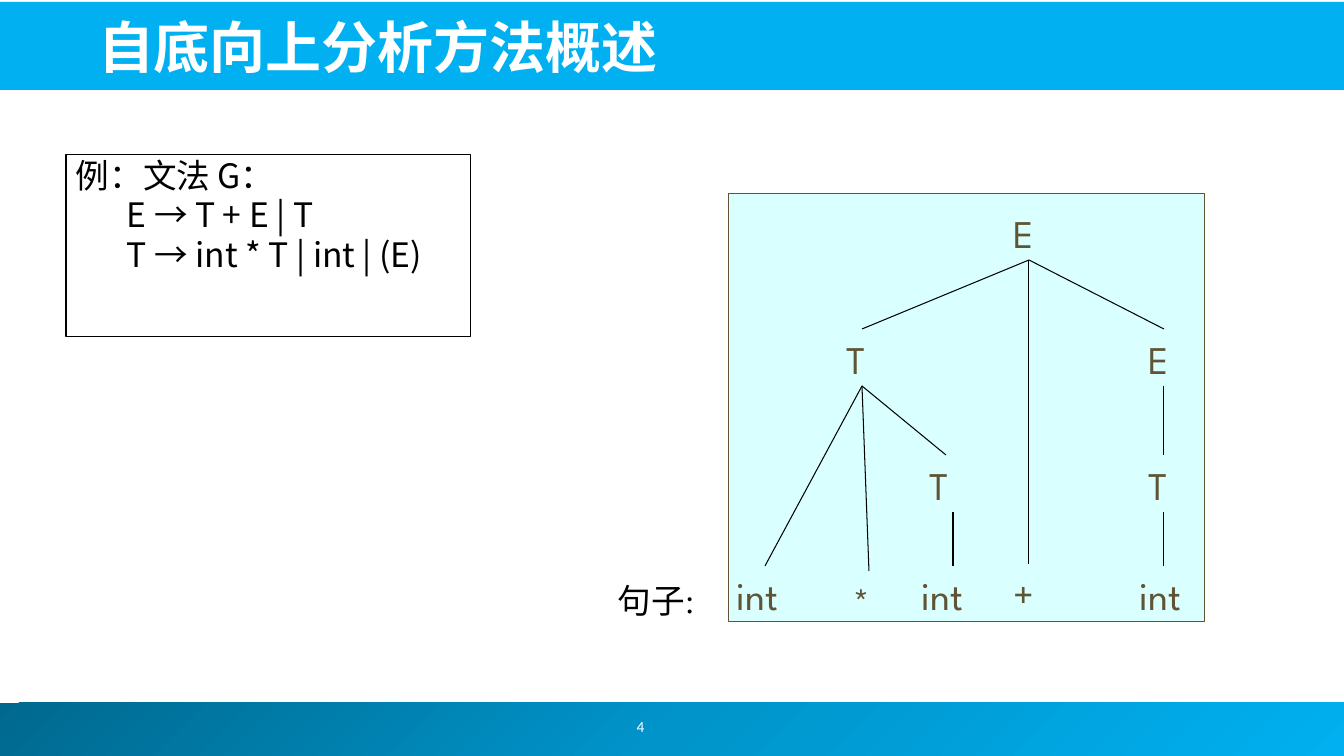
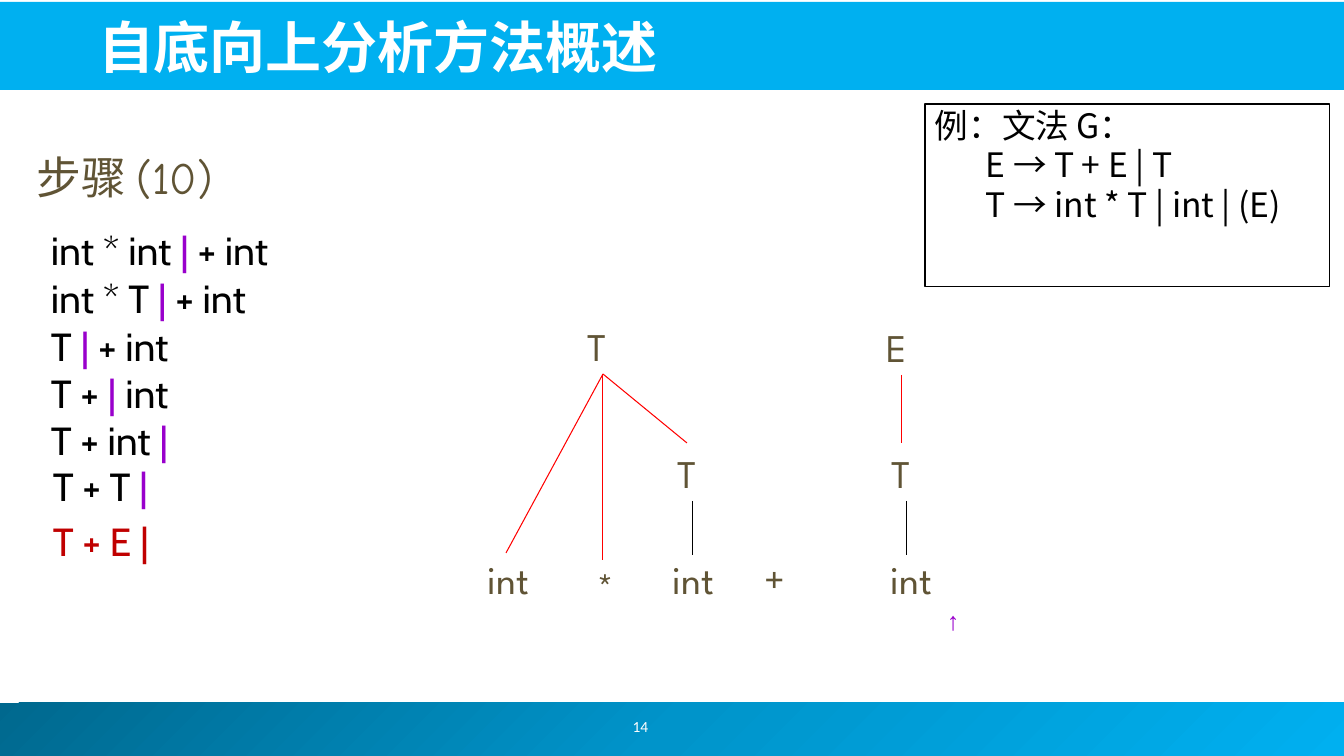
"""Build two slides on bottom-up parsing: a parse tree and one reduction step."""
from copy import deepcopy

from pptx import Presentation
from pptx.dml.color import RGBColor
from pptx.enum.shapes import MSO_CONNECTOR, MSO_SHAPE
from pptx.enum.text import MSO_ANCHOR as ANCHOR, MSO_AUTO_SIZE, PP_ALIGN as ALIGN
from pptx.oxml.ns import qn
from pptx.oxml.xmlchemy import OxmlElement
from pptx.util import Pt

PX = 12192000 / 1344
C = {
    "sky": "00B0F0", "mid": "0094CA", "deep": "00688E", "white": "FFFFFF",
    "black": "000000", "brown": "605435", "ice": "D9FFFF",
    "purple": "9900CC", "red": "FF0000", "dark_red": "C00000",
}
RGB = {name: RGBColor.from_string(value) for name, value in C.items()}
CJK, TREE, STEP = "Noto Sans CJK JP", "League Spartan", "Cabin"
GRAMMAR = ["例：文法 G：", "E → T + E | T", "T → int * T | int | (E)"]


def text(s, box, runs, size=28, font=TREE, anchor=ANCHOR.TOP, align=ALIGN.LEFT):
    """Add a one-paragraph text box from (text, colour) runs."""
    tf = s.shapes.add_textbox(*[round(v * PX) for v in box]).text_frame
    tf.word_wrap = True
    tf.vertical_anchor = anchor
    p = tf.paragraphs[0]
    p.alignment = align
    p.font.size = Pt(size)
    p.font.name = font
    for words, color in runs:
        r = p.add_run()
        r.text = words
        r.font.color.rgb = RGB[color]


def line(s, x1, y1, x2, y2, color):
    """Add a thin straight line."""
    ends = [round(v * PX) for v in (x1, y1, x2, y2)]
    ln = s.shapes.add_connector(MSO_CONNECTOR.STRAIGHT, *ends)
    ln.line.color.rgb = RGB[color]
    ln.line.width = Pt(0.75)
    ln._element.spPr.append(OxmlElement("a:effectLst"))


prs = Presentation()
prs.slide_width = round(1344 * PX)
prs.slide_height = round(756 * PX)

for number, gx, gy in [("4", 66, 154), ("14", 925, 104)]:
    s = prs.slides.add_slide(prs.slide_layouts[5])
    title = s.shapes.title

    bands = []
    for box in [(-5, 703, 1350, 53), (-2, 2, 1347, 88)]:
        sp = s.shapes.add_shape(MSO_SHAPE.RECTANGLE, *[round(v * PX) for v in box])
        sp.shadow.inherit = False
        sp.line.fill.background()
        bands.append(sp)
    footer, header = bands
    header.fill.solid()
    header.fill.fore_color.rgb = RGB["sky"]
    footer.fill.gradient()
    footer.fill.gradient_angle = 315
    stops = footer._element.spPr.find(qn("a:gradFill")).find(qn("a:gsLst"))
    stops.insert(1, deepcopy(stops[0]))
    for i, (stop, name) in enumerate(zip(footer.fill.gradient_stops, ("deep", "mid", "sky"))):
        stop.position = i / 2
        stop.color.rgb = RGB[name]
    text(s, (495, 701, 291, 50), [(number, "white")], 11, "Calibri", ANCHOR.MIDDLE, ALIGN.CENTER)

    s.shapes._spTree.append(title._element)
    title.left, title.top, title.width, title.height = [round(v * PX) for v in (88, 5, 1216, 80)]
    tf = title.text_frame
    tf.text = "自底向上分析方法概述"
    tf.auto_size = MSO_AUTO_SIZE.NONE
    tf.vertical_anchor = ANCHOR.BOTTOM
    p = tf.paragraphs[0]
    p.alignment = ALIGN.LEFT
    p.font.size = Pt(40)
    p.font.bold = True
    p.font.name = CJK
    p.font.color.rgb = RGB["white"]

    sp = s.shapes.add_shape(MSO_SHAPE.RECTANGLE, *[round(v * PX) for v in (gx, gy, 405, 183)])
    sp.shadow.inherit = False
    sp.fill.background()
    sp.line.color.rgb = RGB["black"]
    sp.line.width = Pt(0.75)
    tf = sp.text_frame
    tf.word_wrap = True
    tf.vertical_anchor = ANCHOR.TOP
    for i, rule in enumerate(GRAMMAR):
        p = tf.paragraphs[0] if i == 0 else tf.add_paragraph()
        p.text = rule
        p.alignment = ALIGN.LEFT
        p.line_spacing = 0.9
        if i:
            p.level = 1
            p.space_before = Pt(2.4)
        margin, indent = (82, -31) if i else (38, -38)
        pPr = p._p.get_or_add_pPr()
        pPr.set("marL", str(round(margin * PX)))
        pPr.set("indent", str(round(indent * PX)))
        p.font.size = Pt(24)
        p.font.name = CJK
        p.font.color.rgb = RGB["black"]

tree, step = prs.slides

sp = tree.shapes.add_shape(MSO_SHAPE.RECTANGLE, *[round(v * PX) for v in (729, 194, 476, 428)])
sp.shadow.inherit = False
sp.fill.solid()
sp.fill.fore_color.rgb = RGB["ice"]
sp.line.color.rgb = RGB["brown"]
sp.line.width = Pt(0.75)

for ends in [
    (1029, 260, 862, 329), (1029, 260, 1164, 329), (1029, 260, 1029, 564),
    (862, 386, 765, 566), (862, 386, 869, 571), (862, 386, 946, 455),
    (1164, 386, 1164, 455), (1164, 512, 1164, 566), (953, 512, 953, 566),
]:
    line(tree, *ends, "black")

for ends, color in [
    ((603, 374, 506, 553), "red"), ((603, 374, 603, 560), "red"),
    ((603, 374, 687, 443), "red"), ((902, 375, 902, 443), "red"),
    ((693, 501, 693, 555), "black"), ((907, 501, 907, 555), "black"),
]:
    line(step, *ends, color)

nodes = [
    (tree, [("E", 1004, 204), ("T", 837, 330), ("E", 1139, 330), ("T", 920, 456),
            ("T", 1139, 456), ("int", 727, 566), ("*", 844, 572), ("int", 912, 566),
            ("+", 1004, 564), ("int", 1130, 566)]),
    (step, [("T", 578, 317), ("E", 877, 318), ("T", 668, 444), ("T", 882, 444),
            ("int", 478, 550), ("*", 588, 557), ("int", 663, 550), ("+", 755, 549),
            ("int", 881, 550)]),
]
for s, labels in nodes:
    for label, x, y in labels:
        text(s, (x, y, 72 if label == "int" else 50, 57), [(label, "brown")])

text(tree, (608, 575, 103, 50), [("句子:", "black")], 24, "Times New Roman")
text(step, (937, 600, 58, 50), [("↑", "purple")], 18, "Times New Roman")
text(step, (27, 126, 223, 101), [("步骤 (10)", "brown")], 32, "Comic Neue", ANCHOR.MIDDLE)

for x, y, before, after in [
    (41, 221, "int * int ", " + int"), (41, 269, "int * T ", " + int"),
    (41, 317, "T ", " + int"), (41, 364, "T + ", " int"),
    (41, 411, "T + int ", ""), (43, 457, "T + T ", ""),
]:
    runs = [(before, "black"), ("|", "purple"), (after, "black")]
    text(step, (x, y, 328, 50), [run for run in runs if run[0]], font=STEP)
text(step, (43, 512, 328, 50), [("T + E |", "dark_red")], font=STEP)

prs.save("out.pptx")
